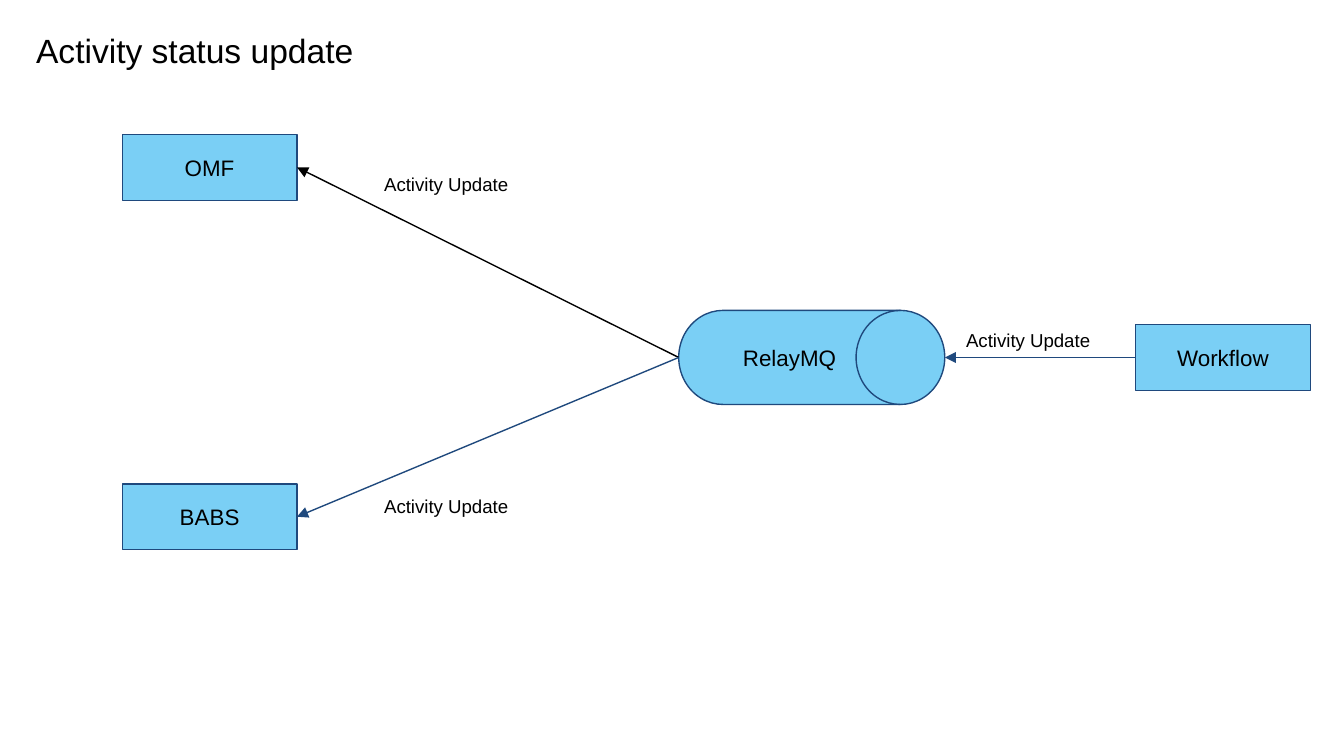
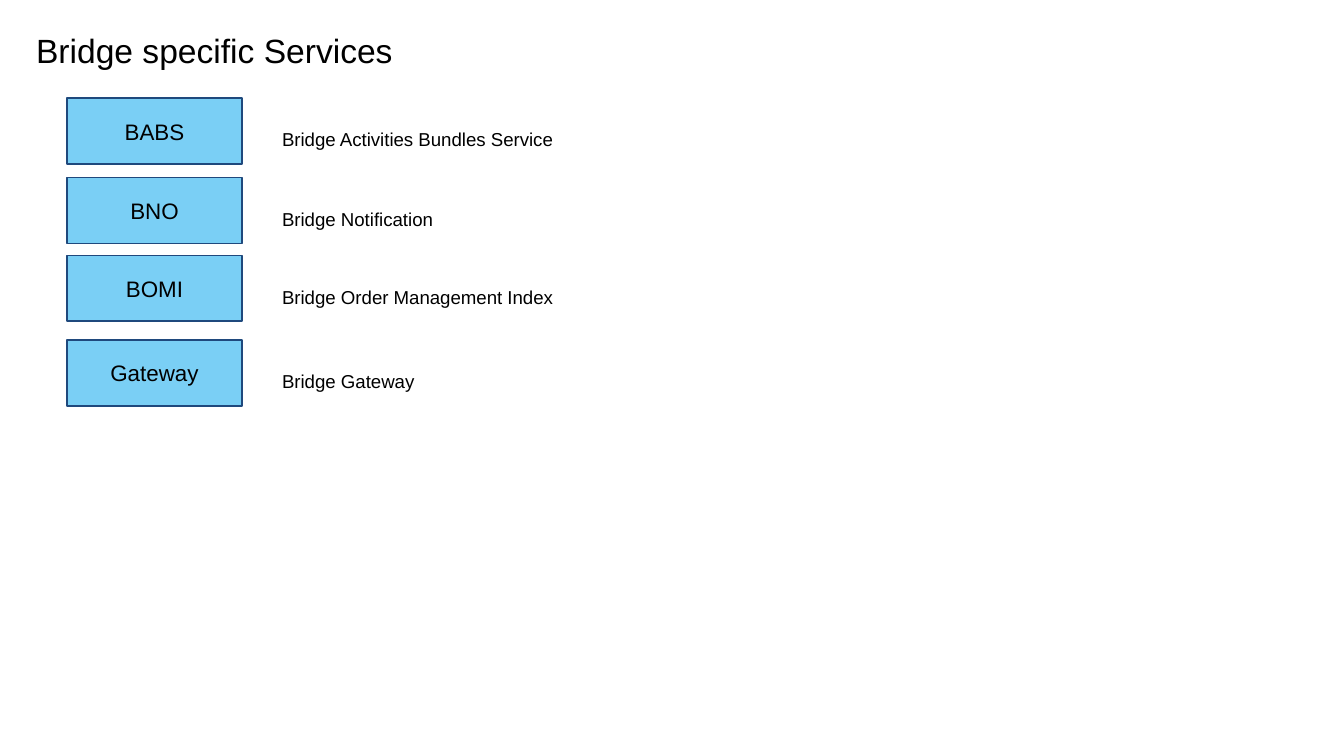
"""Build two slides: the activity status flow and the list of Bridge services."""
from lxml import etree
from pptx import Presentation
from pptx.dml.color import RGBColor
from pptx.enum.shapes import MSO_CONNECTOR, MSO_SHAPE
from pptx.enum.text import MSO_ANCHOR, PP_ALIGN
from pptx.oxml.ns import qn
from pptx.util import Inches, Pt

RECT = MSO_SHAPE.RECTANGLE
DRUM = MSO_SHAPE.FLOWCHART_DIRECT_ACCESS_STORAGE
LINE = MSO_CONNECTOR.STRAIGHT
MIDDLE, TOP = MSO_ANCHOR.MIDDLE, MSO_ANCHOR.TOP
CENTER, LEFT = PP_ALIGN.CENTER, PP_ALIGN.LEFT
COLORS = {"text": "000000", "sky": "7ACFF5", "navy": "1F497D"}
FONT = "Arial"
BOX_W, BOX_H = 1.3, 0.49
AXIS = 2.66


def write(shape, text, size, align=LEFT, anchor=TOP):
    frame = shape.text_frame
    frame.word_wrap = True
    frame.vertical_anchor = anchor
    frame.margin_left = frame.margin_right = Inches(0.1)
    frame.margin_top = frame.margin_bottom = Inches(0.1)
    para = frame.paragraphs[0]
    para.text = text
    para.alignment = align
    para.font.name = FONT
    para.font.size = Pt(size)
    para.font.color.rgb = RGBColor.from_string(COLORS["text"])


def add_node(slide, text, x, y, w=BOX_W, h=BOX_H, kind=RECT):
    node = slide.shapes.add_shape(kind, Inches(x), Inches(y), Inches(w), Inches(h))
    node.shadow.inherit = False
    node.fill.solid()
    node.fill.fore_color.rgb = RGBColor.from_string(COLORS["sky"])
    node.line.color.rgb = RGBColor.from_string(COLORS["navy"])
    node.line.width = Pt(0.75)
    write(node, text, 12, CENTER, MIDDLE)
    return node


deck = Presentation()
deck.slide_width = Inches(10)
deck.slide_height = deck.slide_width * 9 // 16
blank = deck.slide_layouts[6]

slides = []
for title in ("Activity status update", "Bridge specific Services"):
    slide = deck.slides.add_slide(blank)
    box = slide.shapes.add_textbox(Inches(0.17), Inches(0.12), Inches(9.75), Inches(0.41))
    write(box, title, 18)
    slides.append(slide)
flow, index = slides

omf = add_node(flow, "OMF", 0.91, 1)
queue = add_node(flow, "RelayMQ", 5.05, AXIS - 0.35, 1.98, 0.7, DRUM)
work = add_node(flow, "Workflow", 8.45, AXIS - BOX_H / 2)
babs = add_node(flow, "BABS", 0.91, 3.6)

for start, end, color in ((queue, omf, "text"), (work, queue, "navy"), (queue, babs, "navy")):
    arrow = flow.shapes.add_connector(
        LINE, start.left, start.top + start.height // 2,
        end.left + end.width, end.top + end.height // 2)
    arrow.begin_connect(start, 1)
    if end is not queue:
        arrow.end_connect(end, 3)
    arrow.line.color.rgb = RGBColor.from_string(COLORS[color])
    arrow.line.width = Pt(0.75)
    etree.SubElement(arrow.line._get_or_add_ln(), qn("a:tailEnd"), type="triangle")
    etree.SubElement(arrow._element.spPr, qn("a:effectLst"))

for x, y, w, h in ((7.09, 2.36, 1.3, 0.22), (2.76, 1.2, 1.21, 0.29), (2.76, 3.6, 1.21, 0.29)):
    label = flow.shapes.add_textbox(Inches(x), Inches(y), Inches(w), Inches(h))
    write(label, "Activity Update", 10)

services = (
    ("BABS", "Bridge Activities Bundles Service", 0.73),
    ("BNO", "Bridge Notification", 1.32),
    ("BOMI", "Bridge Order Management Index", 1.9),
    ("Gateway", "Bridge Gateway", 2.53),
)
for name, detail, y in services:
    add_node(index, name, 0.5, y)
    note = index.shapes.add_textbox(Inches(2), Inches(y + 0.14), Inches(7.28), Inches(0.29))
    write(note, detail, 10)

deck.save("out.pptx")
